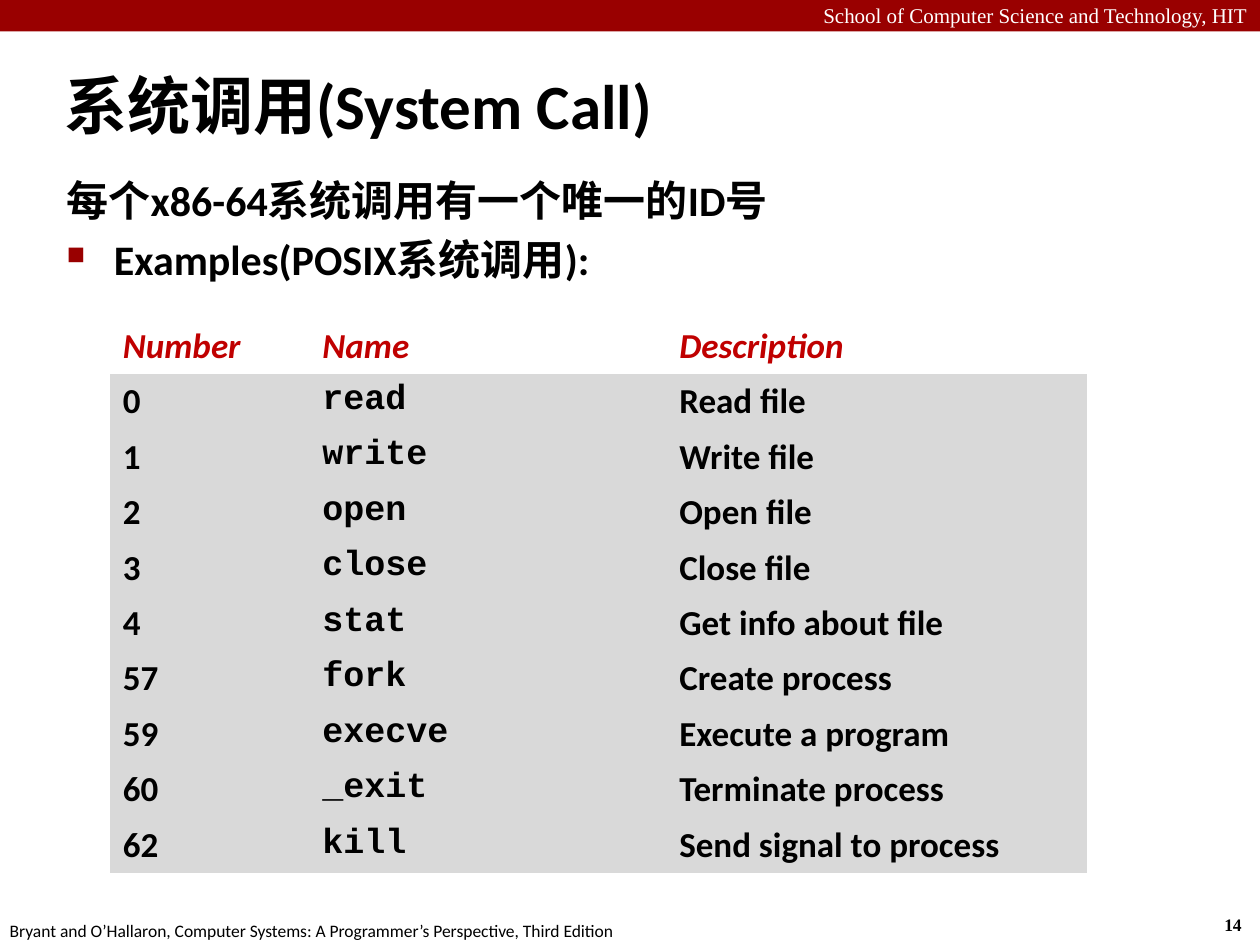
import dataclasses

import lxml.etree
import pptx
import pptx.dml.color
import pptx.enum.shapes
import pptx.enum.text
import pptx.oxml.ns
import pptx.util

Pt = pptx.util.Pt
qn = pptx.oxml.ns.qn
ALIGN = pptx.enum.text.PP_ALIGN
DARK_RED = "990000"
TITLE_ONLY = 5
NO_GRID_STYLE = "{2D5ABB26-0587-4C30-8999-92F81FD0307C}"


@dataclasses.dataclass
class Area:
    left: float
    top: float
    width: float
    height: float

    def points(self) -> list:
        return [Pt(value) for value in dataclasses.astuple(self)]


@dataclasses.dataclass
class SystemCall:
    number: int
    name: str
    description: str


CALLS = [
    SystemCall(0, "read", "Read file"),
    SystemCall(1, "write", "Write file"),
    SystemCall(2, "open", "Open file"),
    SystemCall(3, "close", "Close file"),
    SystemCall(4, "stat", "Get info about file"),
    SystemCall(57, "fork", "Create process"),
    SystemCall(59, "execve", "Execute a program"),
    SystemCall(60, "_exit", "Terminate process"),
    SystemCall(62, "kill", "Send signal to process"),
]
HEADINGS = ("Number", "Name", "Description")
COLUMN_WIDTHS = (114, 204, 240)
COLUMN_FONTS = ("Calibri", "Courier New", "Calibri")


def color(code: str) -> pptx.dml.color.RGBColor:
    return pptx.dml.color.RGBColor.from_string(code)


def write(para, text: str, *, size: float, font: str = "Calibri", fill: str = "000000",
          bold: bool = False, italic: bool = False, align=ALIGN.LEFT, before: float = 0) -> None:
    para.alignment = align
    para.space_before = Pt(before)
    span = para.add_run()
    span.text = text
    span.font.size = Pt(size)
    span.font.name = font
    span.font.bold = bold
    span.font.italic = italic
    span.font.color.rgb = color(fill)


def add_text_box(page, area: Area, wrap: bool = True):
    box = page.shapes.add_textbox(*area.points())
    box.text_frame.word_wrap = wrap
    return box.text_frame


def add_bullet(para, symbol: str, fill: str, percent: int, indent: float) -> None:
    properties = para._p.get_or_add_pPr()
    properties.set("marL", str(Pt(indent)))
    properties.set("indent", str(-Pt(indent)))
    bullet_color = lxml.etree.SubElement(properties, qn("a:buClr"))
    lxml.etree.SubElement(bullet_color, qn("a:srgbClr"), val=fill)
    lxml.etree.SubElement(properties, qn("a:buSzPct"), val=str(percent * 1000))
    lxml.etree.SubElement(properties, qn("a:buChar"), char=symbol)


def fill_cell(cell, text: str, background: str, **text_format) -> None:
    cell.fill.solid()
    cell.fill.fore_color.rgb = color(background)
    write(cell.text_frame.paragraphs[0], text, size=20, bold=True, **text_format)


def add_header_and_footer(page) -> None:
    band = page.shapes.add_shape(pptx.enum.shapes.MSO_SHAPE.RECTANGLE,
                                 *Area(0, 0, 720, 18).points())
    band.shadow.inherit = False
    band.fill.solid()
    band.fill.fore_color.rgb = color(DARK_RED)
    band.line.fill.background()

    school = add_text_box(page, Area(0, -2, 720, 22))
    write(school.paragraphs[0], "School of Computer Science and Technology, HIT",
          size=12, font="Times New Roman", fill="FFFFFF", align=ALIGN.RIGHT)
    number = add_text_box(page, Area(692.5, 519, 27, 19.5), wrap=False)
    write(number.paragraphs[0], "14", size=10, font="Times New Roman", bold=True)
    book = add_text_box(page, Area(-1.5, 522, 366, 19.5), wrap=False)
    write(book.paragraphs[0], "Bryant and O’Hallaron, Computer Systems: "
          "A Programmer’s Perspective, Third Edition", size=10)


def add_title(page) -> None:
    title = page.shapes.title
    title.left, title.top, title.width, title.height = Area(29.5, 29.5, 685, 60).points()
    frame = title.text_frame
    frame.auto_size = pptx.enum.text.MSO_AUTO_SIZE.NONE
    frame.vertical_anchor = pptx.enum.text.MSO_ANCHOR.MIDDLE
    write(frame.paragraphs[0], "系统调用(System Call)", size=36, bold=True)


def add_body(page) -> None:
    frame = add_text_box(page, Area(31, 96, 622, 420))
    write(frame.paragraphs[0], "每个x86-64系统调用有一个唯一的ID号", size=24, bold=True, before=5)
    example = frame.add_paragraph()
    write(example, "Examples(POSIX系统调用):", size=24, bold=True, before=5)
    add_bullet(example, "■", DARK_RED, percent=60, indent=27)


def add_call_table(page) -> None:
    row_count = len(CALLS) + 1
    area = Area(63, 182, sum(COLUMN_WIDTHS), 31.7 * row_count)
    table = page.shapes.add_table(row_count, len(HEADINGS), *area.points()).table
    table._tbl.tblPr.find(qn("a:tableStyleId")).text = NO_GRID_STYLE
    table.first_row = table.horz_banding = False
    for column, width in zip(table.columns, COLUMN_WIDTHS):
        column.width = Pt(width)
    for index, heading in enumerate(HEADINGS):
        fill_cell(table.cell(0, index), heading, "FFFFFF", fill="C00000", italic=True)
    for row, call in enumerate(CALLS, start=1):
        for index, value in enumerate(dataclasses.astuple(call)):
            fill_cell(table.cell(row, index), str(value), "D9D9D9", font=COLUMN_FONTS[index])


def main() -> None:
    deck = pptx.Presentation()
    deck.slide_width, deck.slide_height = Pt(720), Pt(540)
    page = deck.slides.add_slide(deck.slide_layouts[TITLE_ONLY])
    add_header_and_footer(page)
    add_title(page)
    add_call_table(page)
    add_body(page)
    deck.save("out.pptx")


if __name__ == "__main__":
    main()
